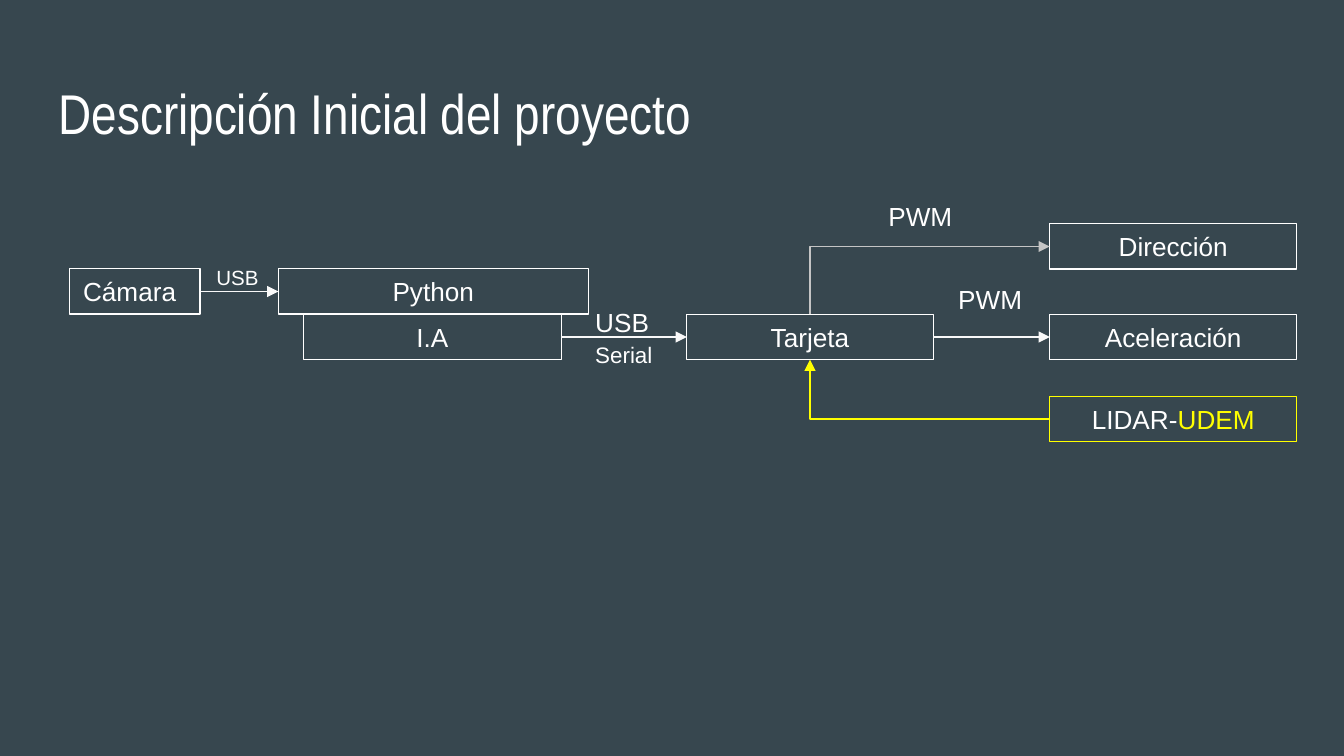
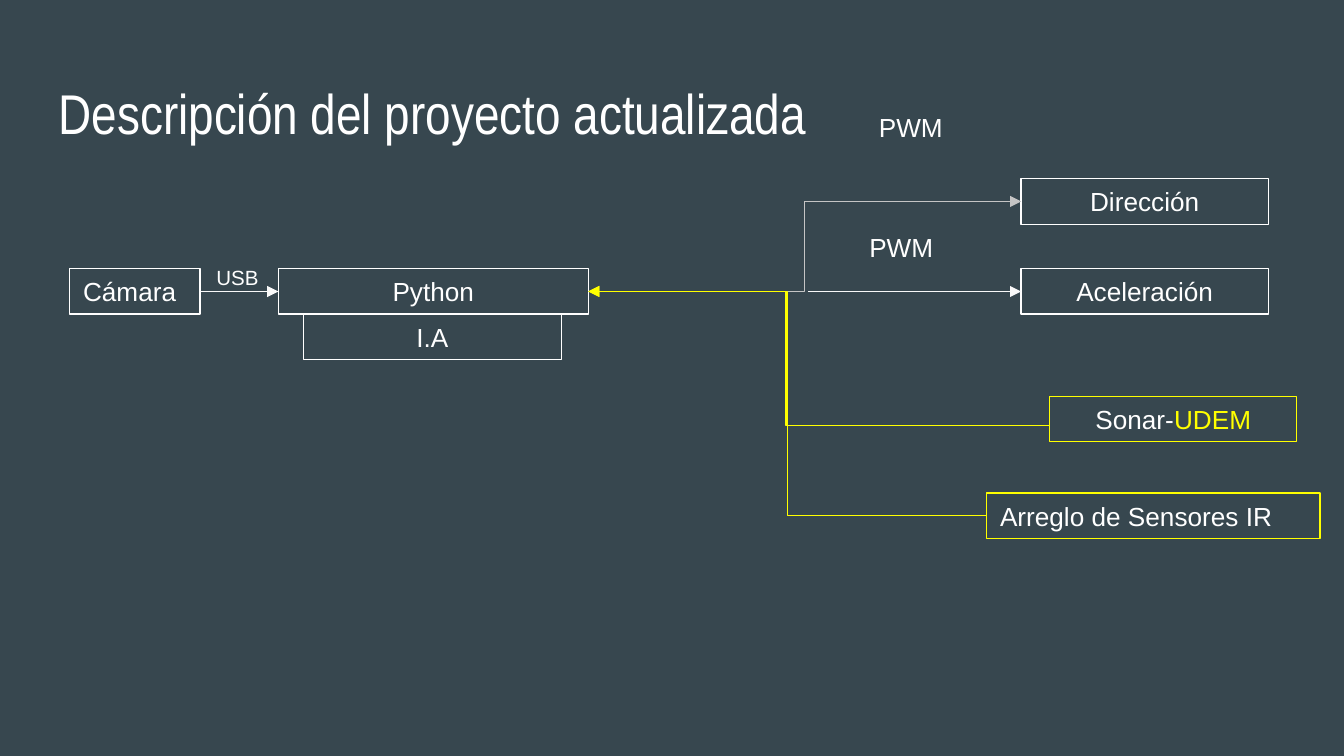
from pptx import Presentation
from pptx.dml.color import RGBColor
from pptx.enum.shapes import MSO_CONNECTOR, MSO_SHAPE
from pptx.enum.text import MSO_ANCHOR, PP_ALIGN
from pptx.oxml.ns import qn
from pptx.util import Cm, Pt
from lxml.etree import SubElement

COLORS = {
    "background": "37474F",
    "white": "FFFFFF",
    "yellow": "FFFF00",
    "gray": "C5C5C5",
    "pale": "F9F9F9",
}
TOP, LEFT, BOTTOM, RIGHT = range(4)
ROW = 0.86  # height of a box
LINE_WIDTH = Pt(0.75)
LEFT_ALIGN, CENTER = PP_ALIGN.LEFT, PP_ALIGN.CENTER


def write(shape, text, size=14, align=LEFT_ALIGN, font="Arial", inset=0.13):
    """Fill a shape with one line; a part after "|" is yellow."""
    frame = shape.text_frame
    frame.word_wrap = True
    frame.vertical_anchor = MSO_ANCHOR.TOP
    frame.margin_left = frame.margin_right = Cm(0.25)
    frame.margin_top = frame.margin_bottom = Cm(inset)
    para = frame.paragraphs[0]
    para.alignment = align
    for part, color in zip(text.split("|"), ("white", "yellow")):
        span = para.add_run()
        span.text = part
        span.font.name = font
        span.font.size = Pt(size)
        span.font.color.rgb = RGBColor.from_string(COLORS[color])


def add_link(slide, boxes, start, end, color, preset=None, bend=None, arrow="tailEnd"):
    """Draw an arrow; each end is (box name, side) or a point in cm."""
    kind = MSO_CONNECTOR.ELBOW if preset else MSO_CONNECTOR.STRAIGHT
    link = slide.shapes.add_connector(kind, 0, 0, 0, 0)
    if start[0] in boxes:
        link.begin_connect(boxes[start[0]], start[1])
    else:
        link.begin_x, link.begin_y = Cm(start[0]), Cm(start[1])
    link.end_connect(boxes[end[0]], end[1])
    link.line.color.rgb = RGBColor.from_string(COLORS[color])
    link.line.width = LINE_WIDTH
    properties = link._element.spPr
    SubElement(properties.find(qn("a:ln")), qn("a:" + arrow), type="triangle")
    SubElement(properties, qn("a:effectLst"))
    geometry = properties.find(qn("a:prstGeom"))
    if preset:
        geometry.set("prst", preset)
    if bend:
        SubElement(geometry.find(qn("a:avLst")), qn("a:gd"),
                   name="adj1", fmla=f"val {bend}")


# Boxes: name, left, top, width, outline, alignment
shared_boxes = [
    ("Cámara", 1.32, 5.08, 2.46, "white", LEFT_ALIGN),
    ("Python", 5.26, 5.08, 5.86, "white", CENTER),
    ("I.A", 5.74, 5.94, 4.87, "white", CENTER),
]
# Labels: text, left, top, width, size
shared_labels = [("USB", 3.84, 4.88, 1.47, 11)]
# Links: start, end, color, then the elbow settings
shared_links = [(("Cámara", RIGHT), ("Python", LEFT), "pale")]

diagrams = [
    {
        "title": "Descripción Inicial del proyecto",
        "boxes": [
            ("Tarjeta", 12.98, 5.94, 4.66, "white", CENTER),
            ("Dirección", 19.84, 4.23, 4.67, "white", CENTER),
            ("Aceleración", 19.84, 5.94, 4.67, "white", CENTER),
            ("LIDAR-|UDEM", 19.84, 7.49, 4.67, "yellow", CENTER),
        ],
        "labels": [
            ("PWM", 16.54, 3.66, 1.83, 14),
            ("USB", 11, 5.66, 1.55, 14),
            ("Serial", 11, 6.32, 1.73, 12),
            ("PWM", 17.86, 5.23, 2.24, 14),
        ],
        "links": [
            (("Dirección", LEFT), ("Tarjeta", TOP), "gray",
             "bentConnector2", None, "headEnd"),
            (("Tarjeta", RIGHT), ("Aceleración", LEFT), "pale"),
            (("LIDAR-|UDEM", LEFT), ("Tarjeta", BOTTOM), "yellow", "bentConnector2"),
            (("I.A", RIGHT), ("Tarjeta", LEFT), "pale"),
        ],
    },
    {
        "title": "Descripción del proyecto actualizada",
        "boxes": [
            ("Dirección", 19.3, 3.38, 4.67, "white", CENTER),
            ("Aceleración", 19.3, 5.08, 4.67, "white", CENTER),
            ("Sonar-|UDEM", 19.84, 7.49, 4.67, "yellow", CENTER),
            ("Arreglo de Sensores IR", 18.65, 9.32, 6.3, "yellow", LEFT_ALIGN),
        ],
        "labels": [
            ("PWM", 16.36, 1.98, 1.83, 14),
            ("PWM", 16.18, 4.24, 2.24, 14),
        ],
        "links": [
            (("Python", RIGHT), ("Dirección", LEFT), "gray", "bentConnector3", 50000),
            ((15.27, 5.51), ("Aceleración", LEFT), "pale"),
            ((19.84, 8.05), ("Python", RIGHT), "yellow", "bentConnector3", 57200),
            (("Arreglo de Sensores IR", LEFT), ("Python", RIGHT), "yellow",
             "bentConnector3", 50000),
        ],
    },
]

deck = Presentation()
deck.slide_width, deck.slide_height = Cm(25.4), Cm(14.29)
backdrop = deck.slide_master.background.fill
backdrop.solid()
backdrop.fore_color.rgb = RGBColor.from_string(COLORS["background"])

for diagram in diagrams:
    page = deck.slides.add_slide(deck.slide_layouts[6])
    title = page.shapes.add_textbox(Cm(0.86), Cm(1.24), Cm(23.67), Cm(1.6))
    write(title, diagram["title"], size=30, font="Arial Narrow", inset=0.25)

    boxes = {}
    for name, left, top, width, outline, align in shared_boxes + diagram["boxes"]:
        box = page.shapes.add_shape(
            MSO_SHAPE.RECTANGLE, Cm(left), Cm(top), Cm(width), Cm(ROW))
        box.shadow.inherit = False
        box.fill.background()
        box.line.color.rgb = RGBColor.from_string(COLORS[outline])
        box.line.width = LINE_WIDTH
        write(box, name, align=align)
        boxes[name] = box

    for link in shared_links + diagram["links"]:
        add_link(page, boxes, *link)

    for text, left, top, width, size in shared_labels + diagram["labels"]:
        label = page.shapes.add_textbox(Cm(left), Cm(top), Cm(width), Cm(ROW))
        write(label, text, size)

deck.save("out.pptx")
